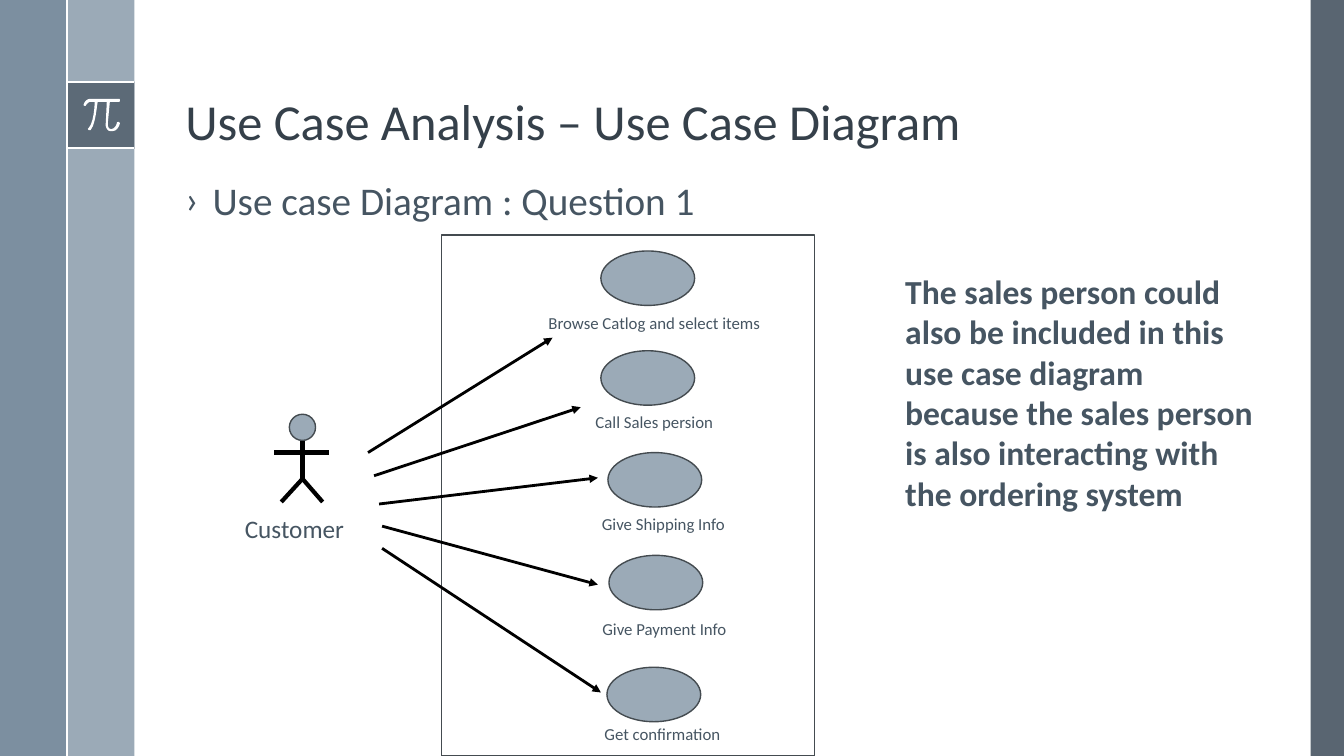
from lxml.etree import SubElement
from pptx import Presentation
from pptx.dml.color import RGBColor
from pptx.enum.shapes import MSO_CONNECTOR, MSO_SHAPE
from pptx.enum.text import MSO_ANCHOR, PP_ALIGN
from pptx.oxml.ns import qn
from pptx.util import Inches, Pt

W, H = 13.33, 7.5
BAR = W / 20
SLATE, MIST, OUTLINE, INK = "475562", "9BAAB7", "444B50", "465562"
TITLE = "Use Case Analysis – Use Case Diagram"
QUESTION = "Use case Diagram : Question 1"
NOTE = ("The sales person could also be included in this use case diagram "
        "because the sales person is also interacting with the ordering system")
LABEL_W, OVAL = 2.62, (0.93, 0.54)
USE_CASES = [
    ("Browse Catlog and select items", (5.96, 2.49), (6.49, 3.05), (3.65, 4.49), (5.48, 3.35)),
    ("Call Sales persion", (5.96, 3.48), (6.49, 4.04), (3.71, 4.72), (5.76, 4.04)),
    ("Give Shipping Info", (6.03, 4.49), (6.58, 5.05), (3.76, 5), (5.93, 4.74)),
    ("Give Payment Info", (6.04, 5.51), (6.59, 6.09), (3.79, 5.22), (5.93, 5.8)),
    ("Get confirmation", (6.02, 6.62), (6.57, 7.13), (3.79, 5.44), (5.96, 6.87)),
]
NECK, HIP = (3, 4.38), (3, 4.75)
LIMBS = [(NECK, HIP), (HIP, (2.79, 4.98)), (HIP, (3.2, 4.98)), ((3.26, 4.49), (2.72, 4.49))]
BARS = [
    (W - 0.33, 0, 0.33, H, SLATE, 90),
    (BAR, 0, BAR, H, MIST, 100),
    (0, 0, BAR, H, "6A8093", 88),
    (BAR, 0.81, BAR, BAR, SLATE, 75),
]
RULES = [((BAR, 0.81), (2 * BAR, 0.81)), ((BAR, 1.47), (2 * BAR, 1.47)), ((BAR, 0), (BAR, H))]
PI = [
    (1.18, 0.98), (0.9, 0.98), (0.85, 0.98, 0.83, 1.03, 0.83, 1.04),
    (0.83, 1.04, 0.83, 1.05, 0.84, 1.05), (0.85, 1.05),
    (0.85, 1.05, 0.87, 1.01, 0.9, 1.01), (0.94, 1.01),
    (0.94, 1.05, 0.93, 1.22, 0.88, 1.27), (0.87, 1.28, 0.87, 1.28, 0.88, 1.29),
    (0.9, 1.29), (0.95, 1.23, 0.96, 1.05, 0.97, 1.01), (1.06, 1.01), (1.05, 1.22),
    (1.05, 1.22, 1.04, 1.26, 1.07, 1.29), (1.08, 1.3, 1.09, 1.3, 1.1, 1.3),
    (1.12, 1.3), (1.17, 1.3, 1.19, 1.23, 1.19, 1.22),
    (1.19, 1.22, 1.18, 1.21, 1.18, 1.21), (1.17, 1.21, 1.16, 1.21, 1.16, 1.22),
    (1.16, 1.22, 1.15, 1.27, 1.11, 1.28), (1.1, 1.28, 1.09, 1.28, 1.08, 1.27),
    (1.07, 1.26, 1.07, 1.23, 1.07, 1.22), (1.09, 1.01), (1.18, 1.01),
    (1.19, 1.01, 1.19, 1, 1.19, 1), (1.19, 0.99, 1.19, 0.98, 1.18, 0.98),
]


def rgb(color):
    return RGBColor.from_string(color)


def paint(sp, fill=None, line=None, alpha=100):
    sp.shadow.inherit = False
    if fill:
        sp.fill.solid()
        sp.fill.fore_color.rgb = rgb(fill)
        if alpha < 100:
            color = sp._element.spPr.find(qn("a:solidFill"))[0]
            SubElement(color, qn("a:alpha"), val=str(alpha * 1000))
    else:
        sp.fill.background()
    if line:
        sp.line.color.rgb = rgb(line)
        sp.line.width = Pt(1)
    else:
        sp.line.fill.background()


def add_shape(s, kind, x, y, w, h, **style):
    sp = s.shapes.add_shape(kind, *map(Inches, (x, y, w, h)))
    paint(sp, **style)


def add_line(s, start, end, color="000000", width=3, arrow=False):
    cn = s.shapes.add_connector(MSO_CONNECTOR.STRAIGHT, *map(Inches, start + end))
    cn.line.color.rgb = rgb(color)
    cn.line.width = Pt(width)
    if arrow:
        SubElement(cn.line._get_or_add_ln(), qn("a:tailEnd"), type="triangle")
    SubElement(cn._element.spPr, qn("a:effectLst"))


def add_text(s, text, x, y, w, h, size=12, color=INK, bold=False, align=PP_ALIGN.LEFT,
             anchor=MSO_ANCHOR.TOP, spacing=1.0, bullet=None):
    tf = s.shapes.add_textbox(*map(Inches, (x, y, w, h))).text_frame
    tf.word_wrap = True
    tf.vertical_anchor = anchor
    p = tf.paragraphs[0]
    p.alignment = align
    p.line_spacing = spacing
    if bullet:
        pPr = p._p.get_or_add_pPr()
        pPr.set("marL", str(Inches(0.27)))
        pPr.set("indent", str(-Inches(0.27)))
        SubElement(pPr, qn("a:buFont"), typeface="Calibri")
        SubElement(pPr, qn("a:buChar"), char=bullet)
    r = p.add_run()
    r.text = text
    r.font.name = "Calibri"
    r.font.size = Pt(size)
    r.font.bold = bold
    r.font.color.rgb = rgb(color)


def trace(path, steps=6):
    points = [path[0]]
    for seg in path[1:]:
        if len(seg) == 2:
            points.append(seg)
            continue
        nodes = [points[-1], seg[:2], seg[2:4], seg[4:]]
        for t in (i / steps for i in range(1, steps + 1)):
            weights = ((1 - t) ** 3, 3 * t * (1 - t) ** 2, 3 * t * t * (1 - t), t ** 3)
            points.append(tuple(sum(k * n[a] for k, n in zip(weights, nodes)) for a in (0, 1)))
    return [(Inches(x), Inches(y)) for x, y in points]


def main():
    prs = Presentation()
    prs.slide_width, prs.slide_height = Inches(W), Inches(H)
    s = prs.slides.add_slide(prs.slide_layouts[6])

    for x, y, w, h, fill, alpha in BARS:
        add_shape(s, MSO_SHAPE.RECTANGLE, x, y, w, h, fill=fill, alpha=alpha)
    for start, end in RULES:
        add_line(s, start, end, color="FFFFFF", width=1.5)
    outline = trace(PI)
    builder = s.shapes.build_freeform(*outline[0])
    builder.add_line_segments(outline[1:])
    paint(builder.convert_to_shape(), fill="FFFFFF")

    add_shape(s, MSO_SHAPE.RECTANGLE, 4.38, 2.33, 3.7, 5.17, line=OUTLINE)
    add_text(s, TITLE, 1.74, 0.19, 10.7, 1.36, size=36, color="35404A",
             anchor=MSO_ANCHOR.BOTTOM, spacing=0.9)
    add_text(s, QUESTION, 1.74, 1.75, 10.99, 0.55, size=28, spacing=0.9, bullet="›")

    add_shape(s, MSO_SHAPE.OVAL, 2.87, 4.11, 0.26, 0.26, fill=MIST, line=OUTLINE)
    for start, end in LIMBS:
        add_line(s, start, end)
    add_text(s, "Customer", 2.33, 5.04, 1.32, 0.4, size=18)

    for label, oval, (cx, top), start, end in USE_CASES:
        add_shape(s, MSO_SHAPE.OVAL, *oval, *OVAL, fill=MIST, line=OUTLINE)
        add_text(s, label, cx - LABEL_W / 2, top, LABEL_W, 0.3, align=PP_ALIGN.CENTER)
        add_line(s, start, end, width=2, arrow=True)

    add_text(s, NOTE, 8.88, 2.64, 3.7, 2.93, size=24, bold=True)
    prs.save("out.pptx")


if __name__ == "__main__":
    main()
